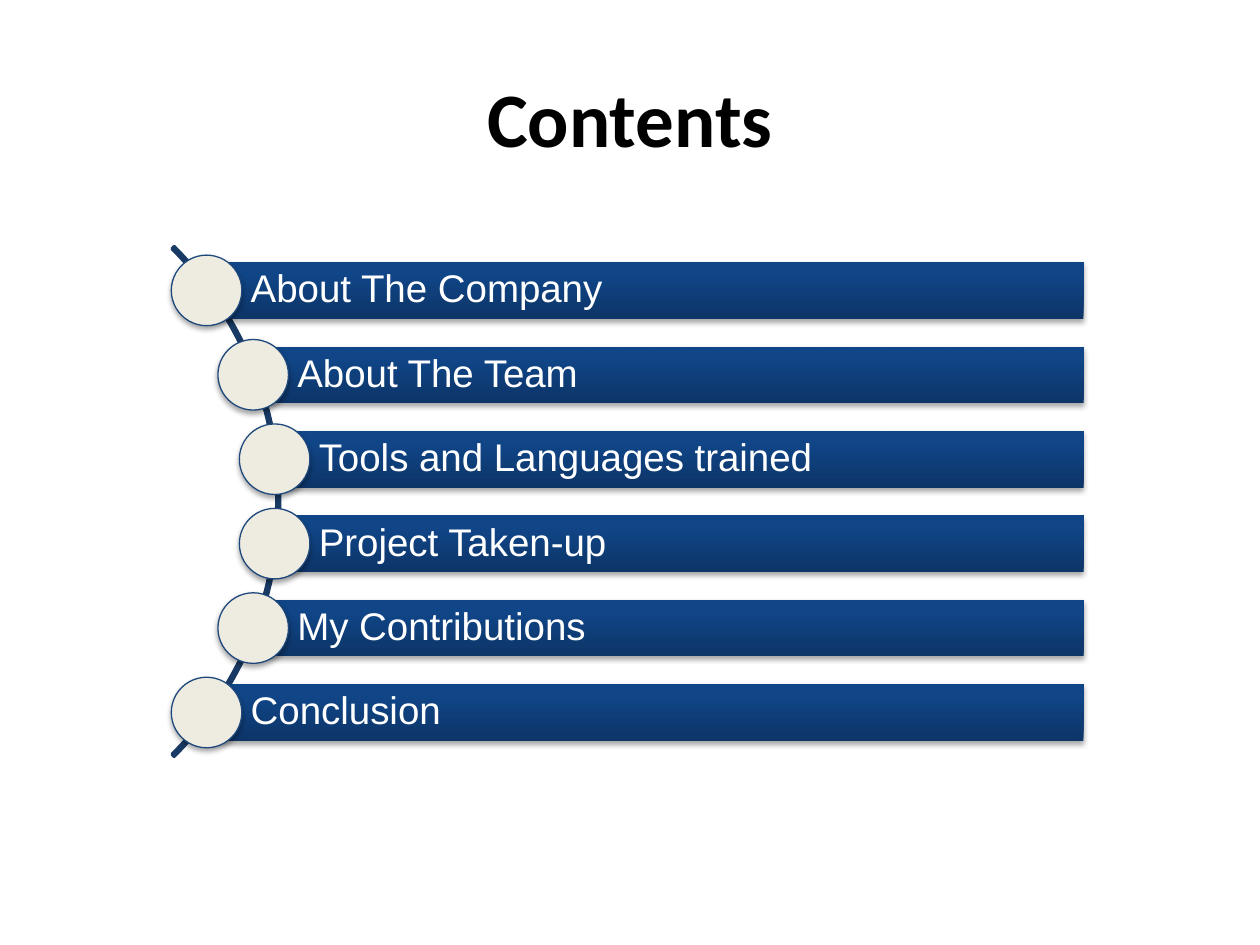
"""Build a contents slide with six bars fanned along a curved spine."""
from lxml import etree
from pptx import Presentation
from pptx.dml.color import RGBColor
from pptx.enum.shapes import MSO_SHAPE as SHAPE
from pptx.enum.text import MSO_ANCHOR as ANCHOR, PP_ALIGN as ALIGN
from pptx.oxml import parse_xml
from pptx.oxml.ns import nsdecls, qn
from pptx.util import Inches, Pt

BLACK = RGBColor(0x00, 0x00, 0x00)
WHITE = RGBColor(0xFF, 0xFF, 0xFF)
SPINE = RGBColor(0x19, 0x3A, 0x64)
IVORY = RGBColor(0xEE, 0xEC, 0xE1)
NAVY = RGBColor(0x1F, 0x49, 0x7D)
BAR_STOPS = [
    (0, RGBColor(0x0D, 0x35, 0x68)),
    (80, RGBColor(0x10, 0x45, 0x87)),
    (100, RGBColor(0x0E, 0x45, 0x8A)),
]

TOPICS = [
    ("About The Company", 1.64),
    ("About The Team", 2.01),
    ("Tools and Languages trained", 2.18),
    ("Project Taken-up", 2.18),
    ("My Contributions", 2.01),
    ("Conclusion", 1.64),
]
BAR_RIGHT = 8.6
BAR_HEIGHT = 0.45
FIRST_TOP = 2.08
PITCH = 0.67
DOT_SIZE = 0.56


def write_text(shape, text, size, font, color, bold=False, align=ALIGN.LEFT,
               line_spacing=1.0, insets=(0.1, 0.05, 0.1, 0.05)):
    """Put one formatted, vertically centred paragraph into a shape."""
    frame = shape.text_frame
    frame.word_wrap = True
    frame.vertical_anchor = ANCHOR.MIDDLE
    (frame.margin_left, frame.margin_top,
     frame.margin_right, frame.margin_bottom) = map(Inches, insets)
    paragraph = frame.paragraphs[0]
    paragraph.alignment = align
    paragraph.line_spacing = line_spacing
    run = paragraph.add_run()
    run.text = text
    run.font.size = Pt(size)
    run.font.name = font
    run.font.bold = bold
    run.font.color.rgb = color


def add_preset(slide, preset, left, top, width, height):
    """Add a preset shape without fill or shadow."""
    shape = slide.shapes.add_shape(
        preset, Inches(left), Inches(top), Inches(width), Inches(height))
    shape.fill.background()
    shape.shadow.inherit = False
    return shape


def outline(shape, color, width):
    """Give a shape a solid outline."""
    shape.line.color.rgb = color
    shape.line.width = Pt(width)


def cast_shadow(shape):
    """Add a soft shadow straight below a shape."""
    effects = shape.element.spPr.find(qn("a:effectLst"))
    shadow = etree.SubElement(
        effects, qn("a:outerShdw"), blurRad=str(Pt(3.1)), dist=str(Pt(1.8)),
        dir="5400000", rotWithShape="0")
    tint = etree.SubElement(shadow, qn("a:srgbClr"), val=str(BLACK))
    etree.SubElement(tint, qn("a:alpha"), val="35000")


def fill_gradient(shape, stops):
    """Fill a shape with a gradient that runs from bottom to top."""
    stop_xml = "".join(
        f'<a:gs pos="{position * 1000}"><a:srgbClr val="{color}"/></a:gs>'
        for position, color in stops)
    gradient = parse_xml(
        f'<a:gradFill {nsdecls("a")} rotWithShape="1"><a:gsLst>{stop_xml}</a:gsLst>'
        '<a:lin ang="16200000" scaled="0"/></a:gradFill>')
    properties = shape.element.spPr
    properties.replace(properties.find(qn("a:noFill")), gradient)


def add_title(slide, text):
    """Place and format the slide title."""
    title = slide.shapes.title
    title.left, title.top = Inches(0.5), Inches(0.3)
    title.width, title.height = Inches(9), Inches(1.25)
    write_text(title, text, 44, "Calibri", BLACK, bold=True, align=ALIGN.CENTER)


def add_spine(slide):
    """Draw the thin arc that links the dots."""
    spine = add_preset(slide, SHAPE.BLOCK_ARC, -3.5, 1.12, 5.72, 5.72)
    for index, value in enumerate((189, 27, 0.004)):
        spine.adjustments[index] = value
    outline(spine, SPINE, 2)


def add_topic(slide, text, left, top):
    """Draw a labelled bar with a dot centred on its left edge."""
    bar = add_preset(slide, SHAPE.RECTANGLE, left, top, BAR_RIGHT - left, BAR_HEIGHT)
    fill_gradient(bar, BAR_STOPS)
    bar.line.fill.background()
    cast_shadow(bar)
    write_text(bar, text, 22, "Arial", WHITE, line_spacing=0.9,
               insets=(0.35, 0.06, 0.06, 0.06))
    dot = add_preset(slide, SHAPE.OVAL, left - DOT_SIZE / 2,
                     top + (BAR_HEIGHT - DOT_SIZE) / 2, DOT_SIZE, DOT_SIZE)
    dot.fill.solid()
    dot.fill.fore_color.rgb = IVORY
    outline(dot, NAVY, 0.75)
    cast_shadow(dot)


def main():
    """Build and save the presentation."""
    deck = Presentation()
    deck.slide_width, deck.slide_height = Inches(10), Inches(7.5)
    slide = deck.slides.add_slide(deck.slide_layouts[5])
    add_title(slide, "Contents")
    add_spine(slide)
    for row, (text, left) in enumerate(TOPICS):
        add_topic(slide, text, left, FIRST_TOP + row * PITCH)
    deck.save("out.pptx")


if __name__ == "__main__":
    main()
